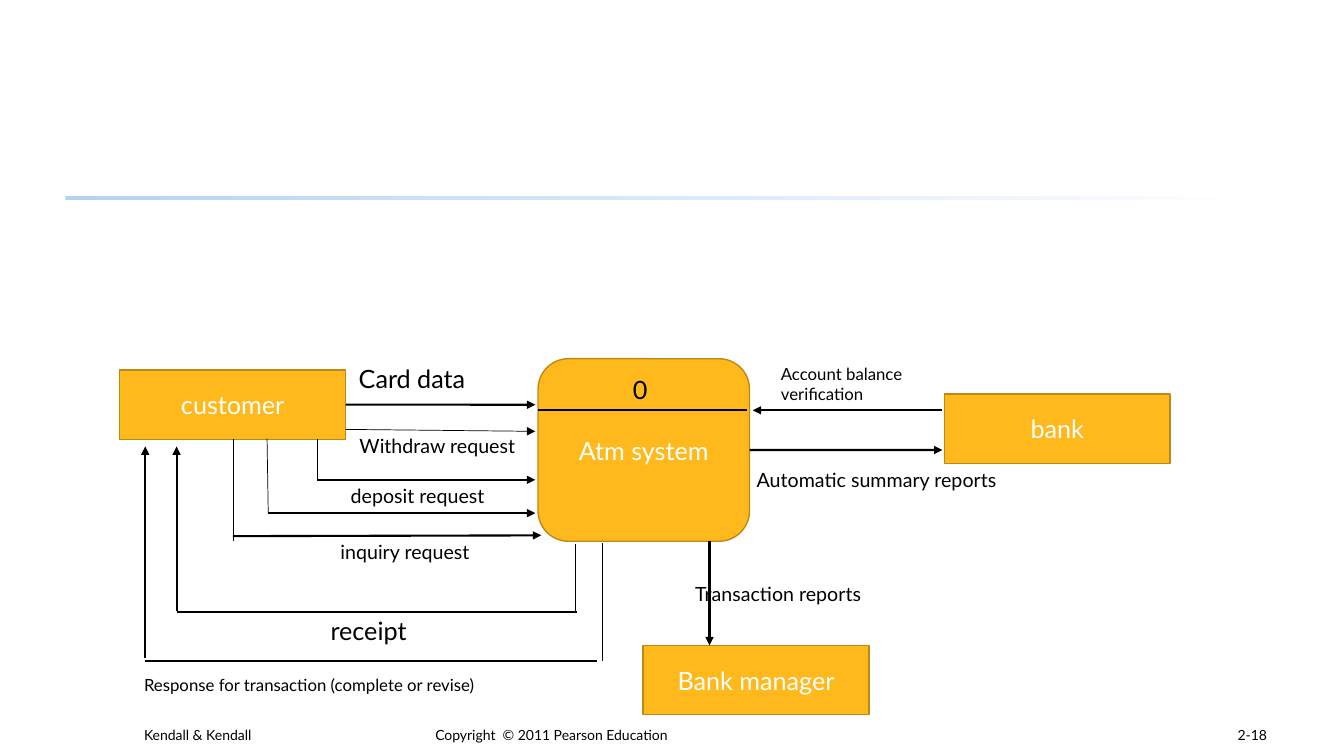
from dataclasses import dataclass

from lxml.etree import SubElement
from pptx import Presentation
from pptx.dml.color import RGBColor
from pptx.enum.shapes import MSO_CONNECTOR, MSO_SHAPE
from pptx.enum.text import MSO_ANCHOR, PP_ALIGN
from pptx.oxml.ns import qn
from pptx.shapes.autoshape import Shape
from pptx.shapes.connector import Connector
from pptx.slide import Slide
from pptx.util import Cm, Pt

FONT = "Lato"
COLOURS = {
    "amber": "FFB91D",
    "amber edge": "BD8915",
    "ink": "000000",
    "white": "FFFFFF",
    "rule": "B5D2F5",
}
THIN, THICK = 0.5, 1.5
ENTITY_SIZE = (5.69, 1.75)


@dataclass
class Node:
    text: str
    left: float
    top: float
    width: float = ENTITY_SIZE[0]
    height: float = ENTITY_SIZE[1]
    preset: MSO_SHAPE = MSO_SHAPE.RECTANGLE


@dataclass
class Flow:
    start: tuple[float, float]
    end: tuple[float, float]
    weight: float = THICK
    arrow: bool = False
    source: str = ""  # node whose right side the flow leaves


@dataclass
class Label:
    text: str
    left: float
    top: float
    width: float
    height: float
    size: int
    anchor: MSO_ANCHOR = MSO_ANCHOR.TOP
    align: PP_ALIGN = PP_ALIGN.LEFT
    wrap: bool = True


NODES = [
    Node("Atm system", 13.56, 9.04, 5.33, 4.6, MSO_SHAPE.ROUNDED_RECTANGLE),
    Node("customer", 3.02, 9.32),
    Node("bank", 23.8, 9.93),
    Node("Bank manager", 16.21, 16.26),
]

FLOWS = [
    # Divider under the process number
    Flow((13.56, 10.34), (18.82, 10.34)),
    # Customer to system
    Flow((8.71, 10.2), (13.49, 10.2), arrow=True, source="customer"),
    Flow((8.71, 10.82), (13.49, 10.87), THIN, arrow=True),
    Flow((8, 11.07), (8, 12.09), THIN),
    Flow((8, 12.09), (13.49, 12.09), arrow=True),
    Flow((6.73, 11.05), (6.76, 12.93), THIN),
    Flow((6.76, 12.93), (13.49, 12.93), arrow=True),
    Flow((5.87, 11.07), (5.87, 13.64), THIN),
    Flow((5.87, 13.51), (13.64, 13.49), arrow=True),
    # System to bank and back
    Flow((18.89, 11.34), (23.75, 11.34), arrow=True, source="Atm system"),
    Flow((23.75, 10.34), (18.97, 10.34), arrow=True),
    # System to bank manager
    Flow((17.88, 13.64), (17.88, 16.26), arrow=True),
    # System back to customer
    Flow((14.5, 13.72), (14.5, 15.42), THIN),
    Flow((4.45, 15.42), (14.53, 15.42)),
    Flow((4.45, 15.39), (4.45, 11.25), arrow=True),
    Flow((15.19, 13.69), (15.19, 16.66), THIN),
    Flow((3.66, 16.66), (15.04, 16.66)),
    Flow((3.66, 16.59), (3.66, 11.25), arrow=True),
]

LABELS = [
    Label("0", 15.7, 9.32, 3.15, 1.02, 18),
    Label("Card data", 8.79, 9.04, 4.19, 1.02, 18),
    Label("Withdraw request", 8.81, 10.82, 6.2, 0.86, 14),
    Label("deposit request", 8.59, 12.07, 6.2, 0.86, 14),
    Label("inquiry request", 8.33, 13.49, 6.2, 0.86, 14),
    Label("Account balance verification", 19.43, 9.04, 5.69, 1.27, 12),
    Label("Automatic summary reports", 18.82, 11.66, 6.88, 0.86, 14),
    Label("Transaction reports", 17.27, 14.53, 4.98, 0.86, 14),
    Label("receipt", 8.08, 15.37, 2.44, 1.02, 18, wrap=False),
    Label("Response for transaction (complete or revise)", 3.38, 16.87, 11.13, 0.76, 12),
    Label("Kendall & Kendall", 3.38, 17.58, 7.06, 1.27, 10, MSO_ANCHOR.BOTTOM),
    Label("Copyright  © 2011 Pearson Education", 10.72, 17.58, 15.52, 1.27, 10, MSO_ANCHOR.BOTTOM),
    Label("2-18", 25.12, 17.58, 7.06, 1.27, 10, MSO_ANCHOR.BOTTOM, PP_ALIGN.RIGHT),
]


def colour(name: str) -> RGBColor:
    return RGBColor.from_string(COLOURS[name])


def write_text(box: Shape, text: str, size: int, ink: str, anchor: MSO_ANCHOR, align: PP_ALIGN) -> None:
    box.text_frame.vertical_anchor = anchor
    paragraph = box.text_frame.paragraphs[0]
    paragraph.text = text
    paragraph.alignment = align
    paragraph.font.name = FONT
    paragraph.font.size = Pt(size)
    paragraph.font.color.rgb = colour(ink)


def draw_rule(page: Slide) -> None:
    """Draw the horizontal band that fades out to the right."""
    rule = page.shapes.add_shape(MSO_SHAPE.RECTANGLE, Cm(1.65), Cm(4.95), Cm(30.48), Cm(0.09))
    rule.shadow.inherit = False
    rule.line.fill.background()
    rule.fill.gradient()
    rule.fill.gradient_angle = 0
    for stop, name in zip(rule.fill.gradient_stops, ("rule", "white")):
        stop.color.rgb = colour(name)


def draw_node(page: Slide, node: Node) -> Shape:
    box = page.shapes.add_shape(
        node.preset, Cm(node.left), Cm(node.top), Cm(node.width), Cm(node.height)
    )
    box.shadow.inherit = False
    box.fill.solid()
    box.fill.fore_color.rgb = colour("amber")
    box.line.color.rgb = colour("amber edge")
    box.line.width = Pt(1)
    write_text(box, node.text, 18, "white", MSO_ANCHOR.MIDDLE, PP_ALIGN.CENTER)
    return box


def draw_flow(page: Slide, flow: Flow, boxes: dict[str, Shape]) -> Connector:
    points = [Cm(value) for value in (*flow.start, *flow.end)]
    connector = page.shapes.add_connector(MSO_CONNECTOR.STRAIGHT, *points)
    if flow.source:
        connector.begin_connect(boxes[flow.source], 3)
    connector.line.color.rgb = colour("ink")
    connector.line.width = Pt(flow.weight)
    if flow.arrow:
        SubElement(connector.line._get_or_add_ln(), qn("a:tailEnd"), type="triangle")
    SubElement(connector._element.spPr, qn("a:effectLst"))
    return connector


def draw_label(page: Slide, label: Label) -> None:
    box = page.shapes.add_textbox(
        Cm(label.left), Cm(label.top), Cm(label.width), Cm(label.height)
    )
    box.text_frame.word_wrap = label.wrap
    write_text(box, label.text, label.size, "ink", label.anchor, label.align)


def main() -> None:
    deck = Presentation()
    deck.slide_width, deck.slide_height = Cm(33.87), Cm(19.05)
    page = deck.slides.add_slide(deck.slide_layouts[6])
    draw_rule(page)
    boxes = {node.text: draw_node(page, node) for node in NODES}
    for flow in FLOWS:
        draw_flow(page, flow, boxes)
    for label in LABELS:
        draw_label(page, label)
    deck.save("out.pptx")


if __name__ == "__main__":
    main()
